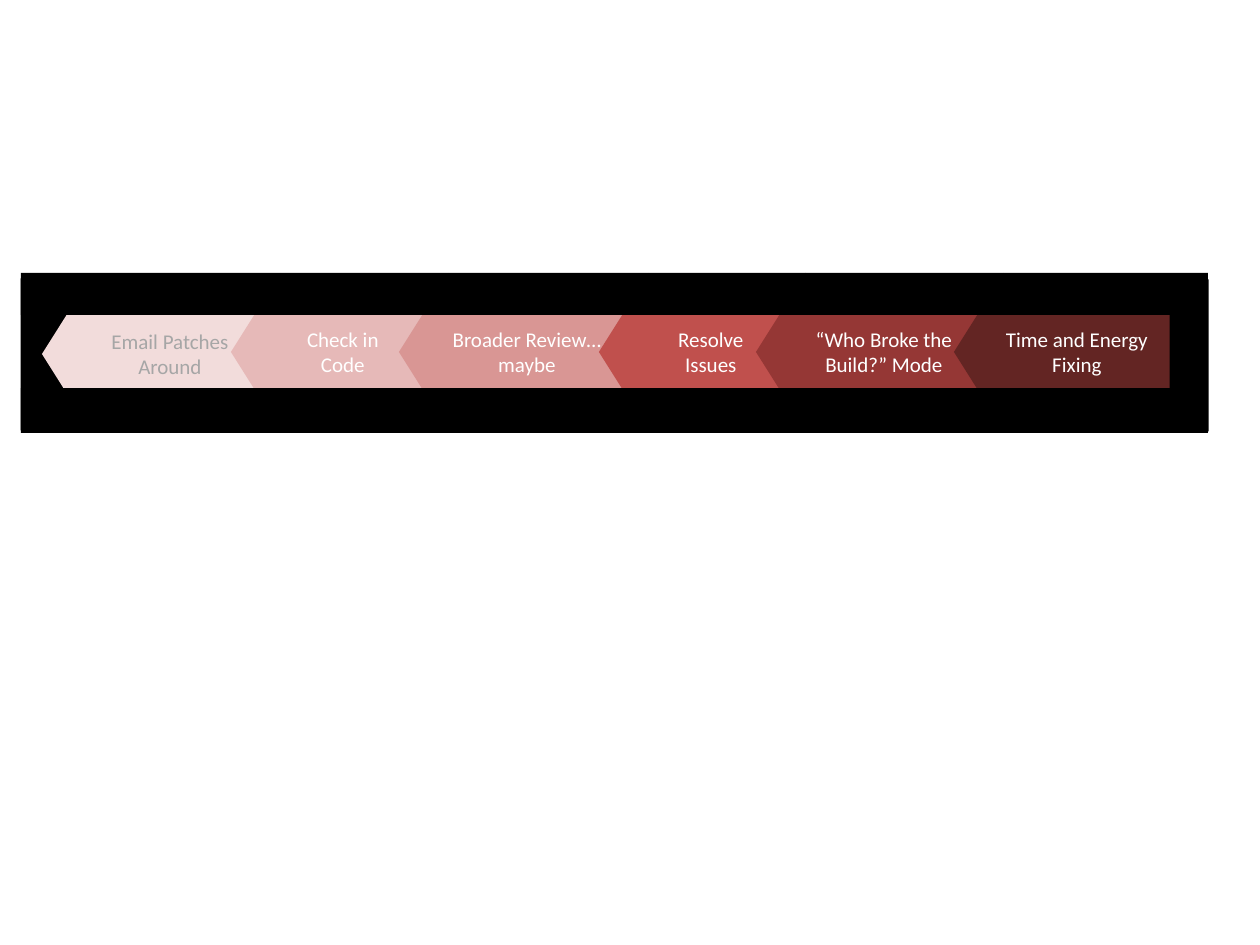
from pptx import Presentation
from pptx.dml.color import RGBColor
from pptx.enum.shapes import MSO_SHAPE
from pptx.enum.text import MSO_ANCHOR, PP_ALIGN
from pptx.util import Emu, Pt

RECTANGLE = MSO_SHAPE.RECTANGLE
ARROW = MSO_SHAPE.RIGHT_ARROW
MIDDLE = MSO_ANCHOR.MIDDLE
CENTER = PP_ALIGN.CENTER

PX = 914400 / 126
BLANK_LAYOUT = 6
BAND_LEFT, BAND_TOP, BAND_WIDTH = 21, 273, 1187
ARROW_HEIGHT = 158

COLORS = {
    "black": "000000",
    "white": "FFFFFF",
    "gray": "A6A6A6",
    "blush": "F2DCDB",
    "pink": "E6B9B8",
    "rose": "D99694",
    "red": "C0504D",
    "brick": "953735",
    "maroon": "632523",
}

STEPS = [
    (42, 275, 231, "blush", "gray", ["Email Patches Around"]),
    (231, BAND_TOP, 199, "pink", "white", ["Check in", "Code"]),
    (399, BAND_TOP, 231, "rose", "white", ["Broader Review…maybe"]),
    (599, BAND_TOP, 199, "red", "white", ["Resolve", "Issues"]),
    (756, BAND_TOP, 231, "brick", "white", ["“Who Broke the Build?” Mode"]),
    (954, BAND_TOP, 221, "maroon", "white", ["Time and Energy Fixing"]),
]


class Page:
    font = "Calibri"
    size = Pt(12)

    def __init__(self, deck):
        self.slide = deck.slides.add_slide(deck.slide_layouts[BLANK_LAYOUT])

    def shape(self, kind, left, top, width, height, color):
        bounds = [Emu(round(value * PX)) for value in (left, top, width, height)]
        shape = self.slide.shapes.add_shape(kind, *bounds)
        shape.shadow.inherit = False
        shape.fill.solid()
        shape.fill.fore_color.rgb = RGBColor.from_string(COLORS[color])
        shape.line.fill.background()
        return shape

    def bar(self, left, top, width, height, rotation=0):
        bar = self.shape(RECTANGLE, left, top, width, height, "black")
        bar.rotation = rotation

    def step(self, left, top, width, color, text_color, lines):
        arrow = self.shape(ARROW, left, top, width, ARROW_HEIGHT, color)
        arrow.adjustments[0] = 0.5
        arrow.adjustments[1] = 0.315
        arrow._element.spPr.get_or_add_xfrm().set("flipH", "1")
        frame = arrow.text_frame
        frame.word_wrap = True
        frame.vertical_anchor = MIDDLE
        frame.text = "\n".join(lines)
        for para in frame.paragraphs:
            para.alignment = CENTER
            para.font.name = self.font
            para.font.size = self.size
            para.font.color.rgb = RGBColor.from_string(COLORS[text_color])


def main():
    deck = Presentation()
    deck.slide_width = Emu(round(1260 * PX))
    deck.slide_height = Emu(round(945 * PX))
    page = Page(deck)

    page.bar(-29, 328, 152, 53, rotation=90)
    for step in STEPS:
        page.step(*step)
    page.bar(BAND_LEFT, BAND_TOP, BAND_WIDTH, 42)
    page.bar(BAND_LEFT, 388, BAND_WIDTH, 45)
    page.bar(1113, 336, 152, 39, rotation=90)

    deck.save("out.pptx")


if __name__ == "__main__":
    main()
